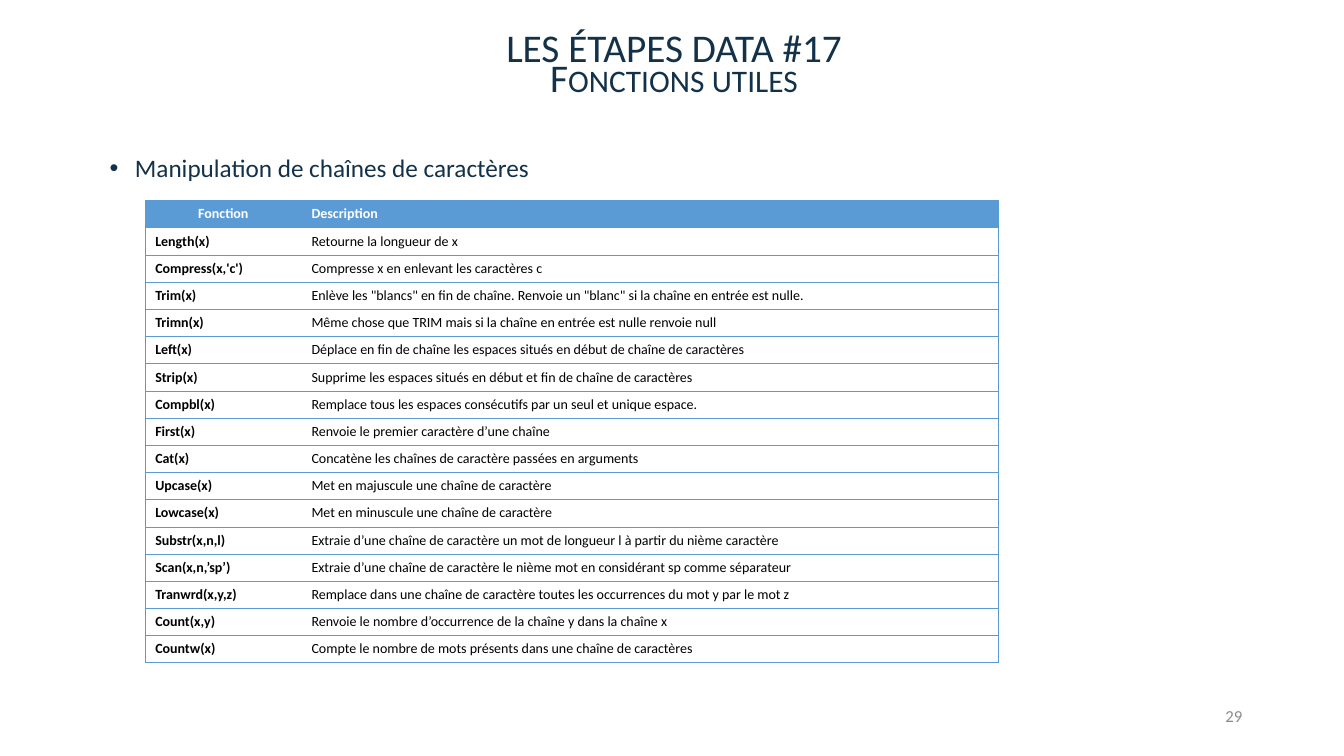
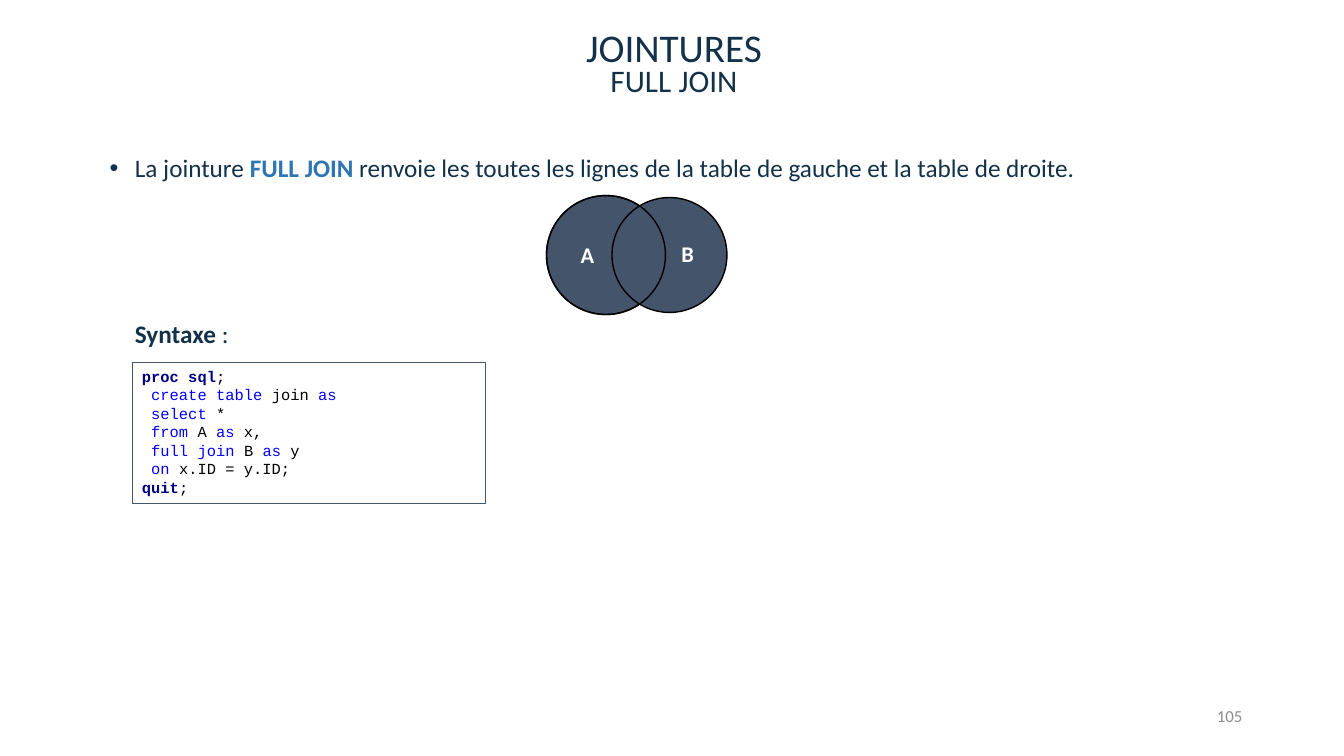
from lxml.etree import SubElement
from pptx import Presentation
from pptx.dml.color import RGBColor
from pptx.enum.shapes import MSO_SHAPE
from pptx.enum.text import MSO_ANCHOR, PP_ALIGN
from pptx.oxml.ns import qn
from pptx.util import Inches, Pt

NAVY, GREY, WHITE, BLACK = "13324A", "8C8C8C", "FFFFFF", "000000"
TABLE_BLUE, ACCENT, SLATE = "5B9BD5", "2E75B6", "44546A"
BODY_FONT, CODE_FONT = "Calibri", "Courier New"

STYLES = {
    "text": (NAVY, False),
    "strong": (NAVY, True),
    "accent": (ACCENT, True),
    "step": ("000080", True),
    "key": ("0000FF", False),
    "plain": (BLACK, False),
}

FUNCTIONS = [
    ("Fonction", "Description"),
    ("Length(x)", "Retourne la longueur de x"),
    ("Compress(x,'c')", "Compresse x en enlevant les caractères c"),
    ("Trim(x)", 'Enlève les "blancs" en fin de chaîne. Renvoie un "blanc" si la chaîne en entrée est nulle.'),
    ("Trimn(x)", "Même chose que TRIM mais si la chaîne en entrée est nulle renvoie null"),
    ("Left(x)", "Déplace en fin de chaîne les espaces situés en début de chaîne de caractères"),
    ("Strip(x)", "Supprime les espaces situés en début et fin de chaîne de caractères"),
    ("Compbl(x)", "Remplace tous les espaces consécutifs par un seul et unique espace."),
    ("First(x)", "Renvoie le premier caractère d’une chaîne"),
    ("Cat(x)", "Concatène les chaînes de caractère passées en arguments"),
    ("Upcase(x)", "Met en majuscule une chaîne de caractère"),
    ("Lowcase(x)", "Met en minuscule une chaîne de caractère"),
    ("Substr(x,n,l)", "Extraie d’une chaîne de caractère un mot de longueur l à partir du nième caractère"),
    ("Scan(x,n,’sp’)", "Extraie d’une chaîne de caractère le nième mot en considérant sp comme séparateur"),
    ("Tranwrd(x,y,z)", "Remplace dans une chaîne de caractère toutes les occurrences du mot y par le mot z"),
    ("Count(x,y)", "Renvoie le nombre d’occurrence de la chaîne y dans la chaîne x"),
    ("Countw(x)", "Compte le nombre de mots présents dans une chaîne de caractères"),
]
COLUMN_WIDTHS = (1.55, 6.91)
ROW_HEIGHT = 0.27

JOIN_INTRO = [
    ("La jointure ", "text"),
    ("FULL JOIN", "accent"),
    (" renvoie les toutes les lignes de la table de gauche et la table de droite.", "text"),
]
SYNTAX_LABEL = [("Syntaxe", "strong"), (" :", "text")]
JOIN_CODE = [
    [("proc sql", "step"), (";", "plain")],
    [(" create table ", "key"), ("join ", "plain"), ("as", "key")],
    [(" select", "key"), (" *", "plain")],
    [(" from ", "key"), ("A ", "plain"), ("as", "key"), (" x,", "plain")],
    [(" full join ", "key"), ("B ", "plain"), ("as", "key"), (" y", "plain")],
    [(" on ", "key"), ("x.ID = y.ID;", "plain")],
    [("quit", "step"), (";", "plain")],
]
CIRCLE_A = (5.42, 1.94, 1.18)
CIRCLE_B = (6.07, 1.96, 1.14)
CIRCLE_LABELS = [("A", 5.66, 2.34), ("B", 6.66, 2.33)]


def color(value):
    return RGBColor.from_string(value)


def style_font(font, size, tint, bold=False, name=BODY_FONT):
    font.name, font.size, font.bold = name, Pt(size), bold
    font.color.rgb = color(tint)


def add_box(page, left, top, width, height):
    box = page.shapes.add_textbox(Inches(left), Inches(top), Inches(width), Inches(height))
    box.text_frame.word_wrap = True
    return box.text_frame


def add_line(page, text, place, size, tint, bold=False, align=PP_ALIGN.LEFT):
    frame = add_box(page, *place)
    frame.text = text
    para = frame.paragraphs[0]
    para.alignment = align
    style_font(para.runs[0].font, size, tint, bold)
    return frame


def add_spans(para, spans, size, name=BODY_FONT):
    for text, style in spans:
        span = para.add_run()
        span.text = text
        style_font(span.font, size, *STYLES[style], name)


def add_heading(page, text, top):
    frame = add_line(page, text, (1.78, top, 9.81, 0.52), 28, NAVY, align=PP_ALIGN.CENTER)
    frame.vertical_anchor = MSO_ANCHOR.MIDDLE
    frame.paragraphs[0].line_spacing = 0.9
    return frame.paragraphs[0].runs[0]


def add_page(deck, title, subtitle, number):
    page = deck.slides.add_slide(deck.slide_layouts[6])
    add_heading(page, title, 0.23)
    span = add_heading(page, subtitle, 0.53)
    span._r.get_or_add_rPr().set("cap", "small")
    add_line(page, number, (9.42, 6.95, 3, 0.4), 12, GREY, align=PP_ALIGN.RIGHT)
    return page


def add_body(page, spans, left, top, bullet=False):
    para = add_box(page, left, top, 11.5, 0.4).paragraphs[0]
    if bullet:
        properties = para._p.get_or_add_pPr()
        properties.set("marL", str(Inches(0.25)))
        properties.set("indent", str(-Inches(0.25)))
        SubElement(properties, qn("a:buFont"), typeface="Arial")
        SubElement(properties, qn("a:buChar"), char="•")
    para.line_spacing = 0.9
    add_spans(para, spans, 18)


def set_borders(cell, is_first):
    properties = cell._tc.get_or_add_tcPr()
    visible = {"lnL": is_first, "lnR": not is_first, "lnT": True, "lnB": True}
    for side, shown in visible.items():
        line = SubElement(properties, qn(f"a:{side}"), w=str(Pt(0.5)))
        if shown:
            fill = SubElement(line, qn("a:solidFill"))
            SubElement(fill, qn("a:srgbClr"), val=TABLE_BLUE)
        else:
            SubElement(line, qn("a:noFill"))


def add_function_table(page):
    count = len(FUNCTIONS)
    table = page.shapes.add_table(
        count, len(COLUMN_WIDTHS), Inches(1.44), Inches(1.99),
        Inches(sum(COLUMN_WIDTHS)), Inches(ROW_HEIGHT * count),
    ).table
    table.horz_banding = False
    for column, width in zip(table.columns, COLUMN_WIDTHS):
        column.width = Inches(width)
    for row, texts in enumerate(FUNCTIONS):
        table.rows[row].height = Inches(ROW_HEIGHT)
        is_header = row == 0
        for column, text in enumerate(texts):
            is_first = column == 0
            cell = table.cell(row, column)
            set_borders(cell, is_first)
            cell.fill.solid()
            cell.fill.fore_color.rgb = color(TABLE_BLUE if is_header else WHITE)
            cell.text = text
            para = cell.text_frame.paragraphs[0]
            if is_header and is_first:
                para.alignment = PP_ALIGN.CENTER
            style_font(para.runs[0].font, 10, WHITE if is_header else BLACK, is_header or is_first)


def add_outlined(page, kind, place, fill, line, weight):
    shape = page.shapes.add_shape(kind, *map(Inches, place))
    shape.shadow.inherit = False
    if fill:
        shape.fill.solid()
        shape.fill.fore_color.rgb = color(fill)
    else:
        shape.fill.background()
    shape.line.color.rgb = color(line)
    shape.line.width = Pt(weight)
    return shape


def add_venn(page):
    for (left, top, size), fill in ((CIRCLE_A, SLATE), (CIRCLE_B, SLATE), (CIRCLE_A, None)):
        add_outlined(page, MSO_SHAPE.OVAL, (left, top, size, size), fill, BLACK, 1)
    for label, left, top in CIRCLE_LABELS:
        add_line(page, label, (left, top, 0.37, 0.37), 16, WHITE, True)


def add_code(page):
    frame = add_outlined(page, MSO_SHAPE.RECTANGLE, (1.31, 3.59, 3.5, 1.4), None, SLATE, 0.25).text_frame
    frame.word_wrap = True
    frame.vertical_anchor = MSO_ANCHOR.TOP
    for index, spans in enumerate(JOIN_CODE):
        para = frame.add_paragraph() if index else frame.paragraphs[0]
        para.alignment = PP_ALIGN.LEFT
        add_spans(para, spans, 11, CODE_FONT)


def main():
    deck = Presentation()
    deck.slide_width, deck.slide_height = Inches(13.33), Inches(7.5)

    page = add_page(deck, "LES ÉTAPES DATA #17", "Fonctions utiles", "29")
    add_body(page, [("Manipulation de chaînes de caractères", "text")], 0.99, 1.5, bullet=True)
    add_function_table(page)

    page = add_page(deck, "JOINTURES", "full join", "105")
    add_body(page, JOIN_INTRO, 0.99, 1.5, bullet=True)
    add_venn(page)
    add_body(page, SYNTAX_LABEL, 1.24, 3.14)
    add_code(page)

    deck.save("out.pptx")


if __name__ == "__main__":
    main()
